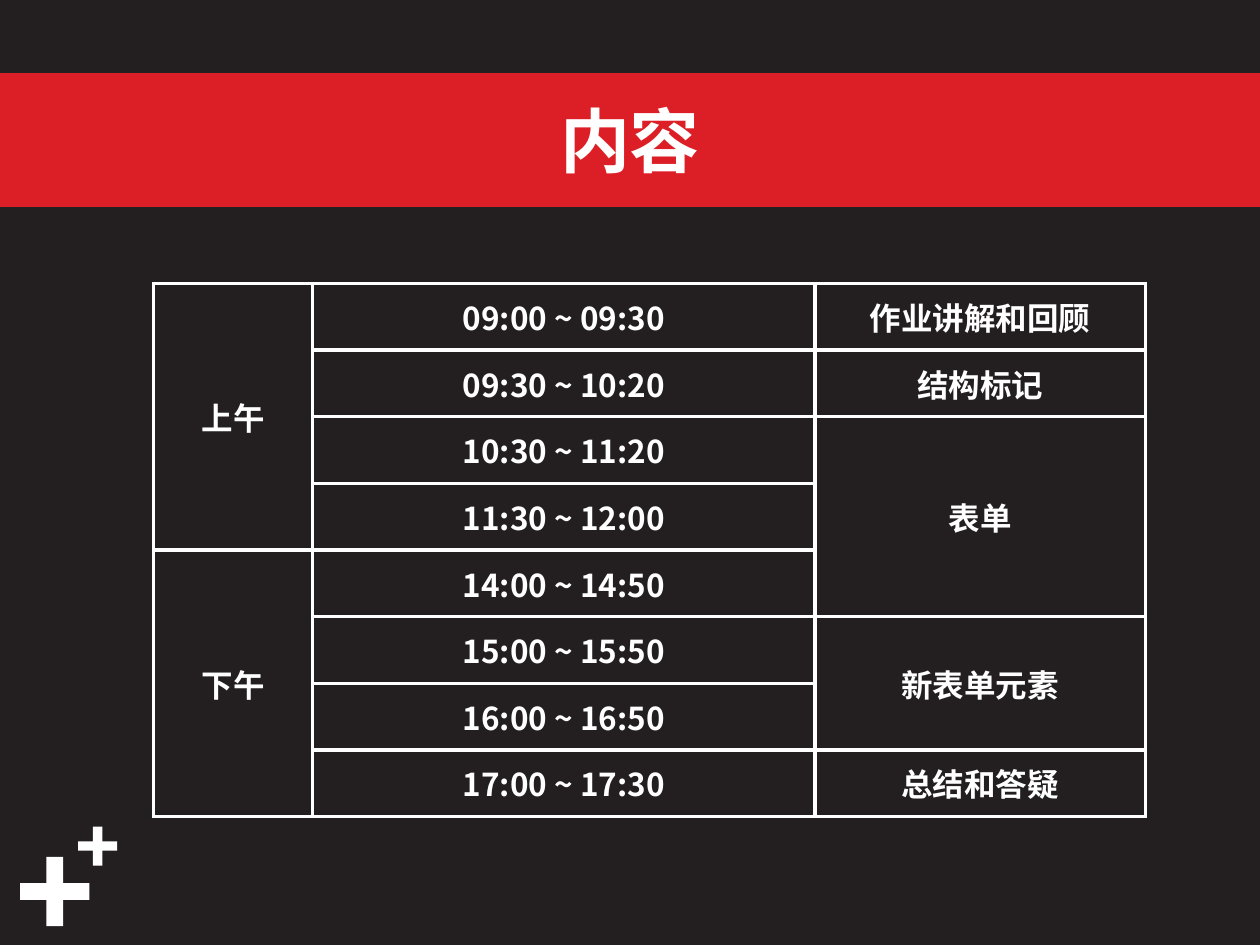
from lxml import etree
from pptx import Presentation
from pptx.dml.color import RGBColor
from pptx.enum.shapes import MSO_SHAPE
from pptx.enum.text import MSO_ANCHOR, PP_ALIGN
from pptx.oxml.ns import qn
from pptx.util import Inches, Pt

RECT, PLUS = MSO_SHAPE.RECTANGLE, MSO_SHAPE.CROSS
MIDDLE, CENTER = MSO_ANCHOR.MIDDLE, PP_ALIGN.CENTER

# Content
TITLE = "内容"
TIMES = [
    "09:00 ~ 09:30", "09:30 ~ 10:20", "10:30 ~ 11:20", "11:30 ~ 12:00",
    "14:00 ~ 14:50", "15:00 ~ 15:50", "16:00 ~ 16:50", "17:00 ~ 17:30",
]
# Each entry is (text, number of rows it covers)
HALVES = [("上午", 4), ("下午", 4)]
TOPICS = [("作业讲解和回顾", 1), ("结构标记", 1), ("表单", 3),
          ("新表单元素", 2), ("总结和答疑", 1)]
COLUMNS = [HALVES, [(time, 1) for time in TIMES], TOPICS]

# Layout, in inches
COL_WIDTHS = [1.26, 3.99, 2.62]
TABLE_LEFT, TABLE_TOP, TABLE_HEIGHT = 1.22, 2.25, 4.23
PLUSES = [(0.16, 6.8, 0.55), (0.62, 6.56, 0.31)]  # left, top, size

THEME = {
    "font": "Noto Sans CJK SC",
    "back": RGBColor(0x23, 0x1F, 0x20),
    "band": RGBColor(0xDC, 0x1F, 0x26),
    "white": RGBColor(0xFF, 0xFF, 0xFF),
    "title": Pt(40),
    "body": Pt(18),
    "band_line": Pt(3),
    "border": Pt(2.25),
}


def set_text(tf, text, size):
    tf.text = text
    p = tf.paragraphs[0]
    p.alignment = CENTER
    font = p.runs[0].font
    font.size, font.bold, font.name = size, True, THEME["font"]
    font.color.rgb = THEME["white"]
    # East Asian glyphs take their own typeface
    ea = etree.SubElement(p.runs[0]._r.get_or_add_rPr(), qn("a:ea"))
    ea.set("typeface", THEME["font"])


def add_block(s, kind, left, top, width, height, color):
    sp = s.shapes.add_shape(kind, Inches(left), Inches(top),
                            Inches(width), Inches(height))
    sp.shadow.inherit = False
    sp.fill.solid()
    sp.fill.fore_color.rgb = color
    sp.line.fill.background()
    return sp


def set_borders(cell):
    tc_pr = cell._tc.get_or_add_tcPr()
    for i, side in enumerate(("lnL", "lnR", "lnT", "lnB")):
        ln = etree.Element(qn(f"a:{side}"), w=str(THEME["border"]))
        fill = etree.SubElement(ln, qn("a:solidFill"))
        etree.SubElement(fill, qn("a:srgbClr"), val=str(THEME["white"]))
        tc_pr.insert(i, ln)


def add_schedule(s):
    rows = len(TIMES)
    table = s.shapes.add_table(
        rows, len(COLUMNS), Inches(TABLE_LEFT), Inches(TABLE_TOP),
        Inches(sum(COL_WIDTHS)), Inches(TABLE_HEIGHT)).table
    table.first_row = table.horz_banding = False
    for col, width in zip(table.columns, COL_WIDTHS):
        col.width = Inches(width)
    for cell in table.iter_cells():
        cell.fill.background()
        set_borders(cell)
    for c, entries in enumerate(COLUMNS):
        r = 0
        for text, span in entries:
            cell = table.cell(r, c)
            if span > 1:
                cell.merge(table.cell(r + span - 1, c))
            cell.vertical_anchor = MIDDLE
            set_text(cell.text_frame, text, THEME["body"])
            r += span


def main():
    prs = Presentation()
    prs.slide_width, prs.slide_height = Inches(10), Inches(7.5)
    s = prs.slides.add_slide(prs.slide_layouts[6])
    s.background.fill.solid()
    s.background.fill.fore_color.rgb = THEME["back"]

    # Corner plus signs
    for left, top, size in PLUSES:
        sp = add_block(s, PLUS, left, top, size, size, THEME["white"])
        sp.adjustments[0] = 0.38

    # Title band
    band = add_block(s, RECT, 0, 0.6, 10, 1.02, THEME["band"])
    band.line.color.rgb = THEME["band"]
    band.line.width = THEME["band_line"]
    band.text_frame.vertical_anchor = MIDDLE
    set_text(band.text_frame, TITLE, THEME["title"])

    # Timetable
    add_schedule(s)
    prs.save("out.pptx")


if __name__ == "__main__":
    main()
